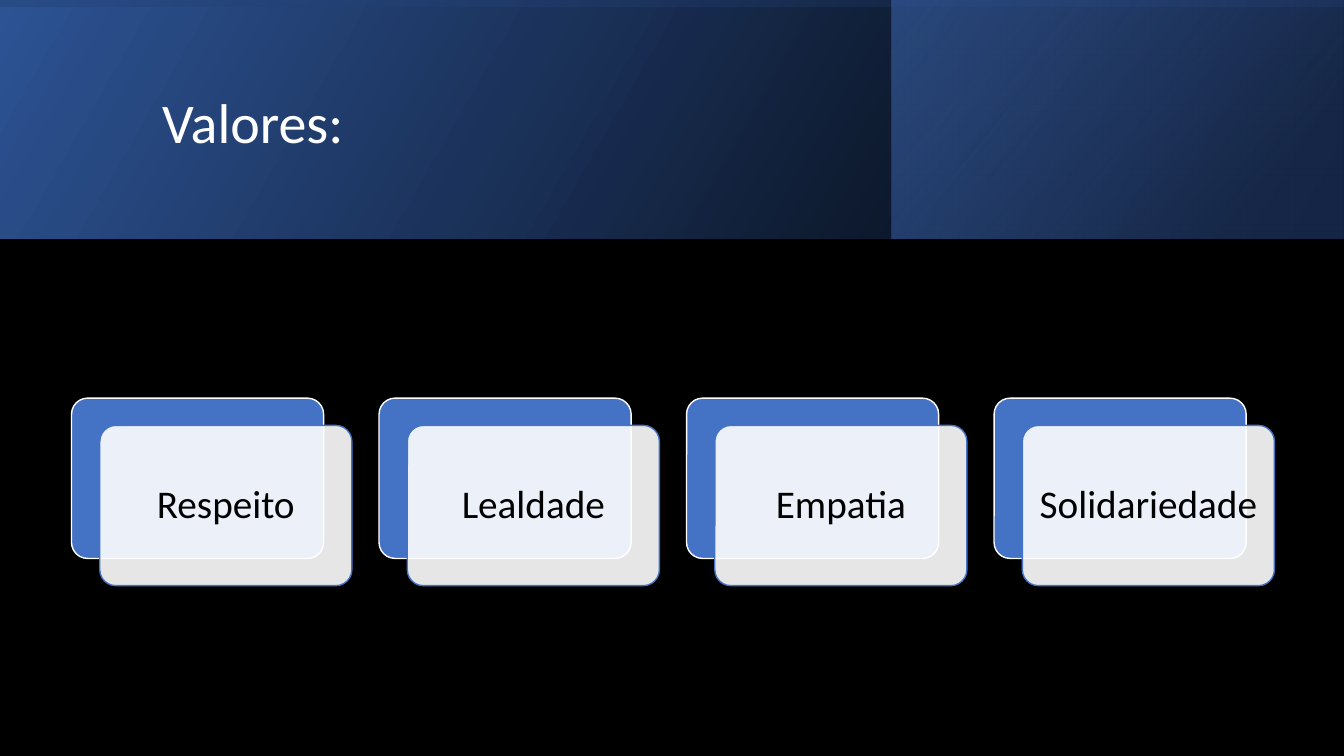
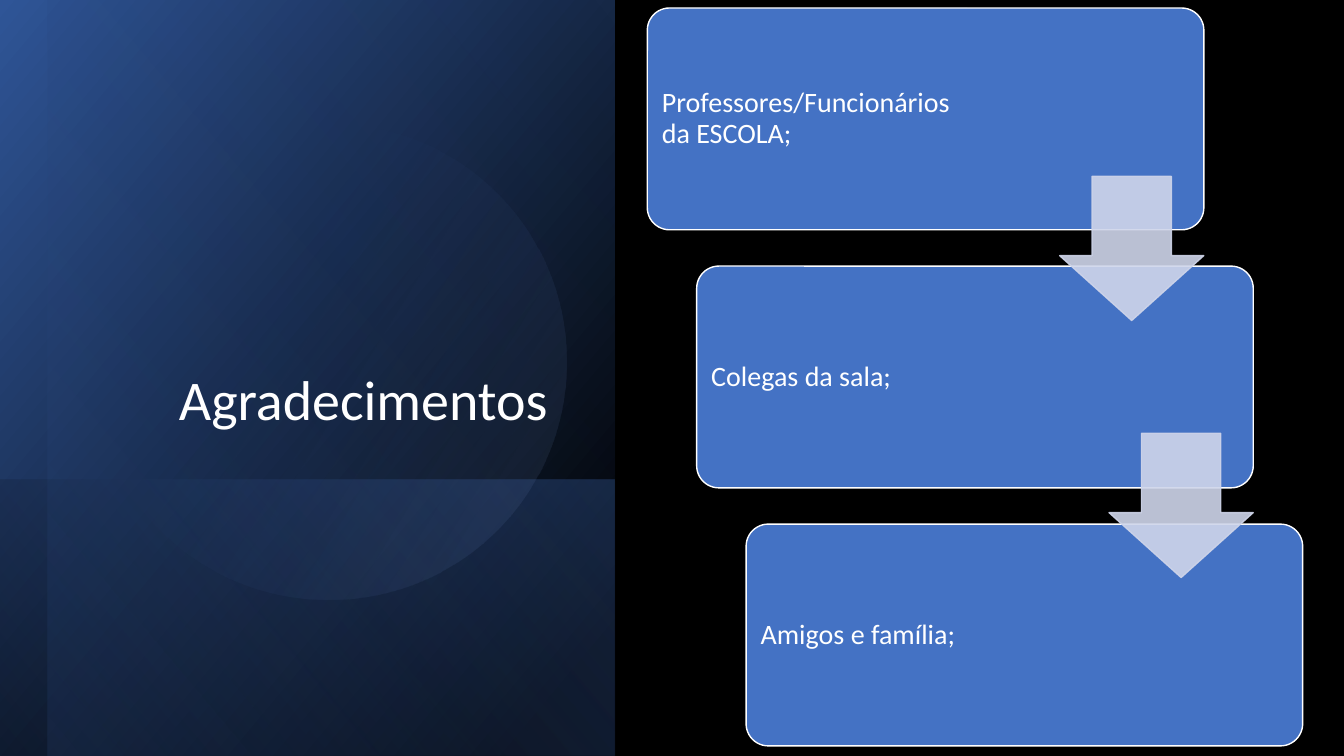
"""Build two dark slides: a row of values and a staircase of acknowledgements."""
from lxml.etree import SubElement
from pptx import Presentation
from pptx.dml.color import RGBColor
from pptx.enum.shapes import MSO_SHAPE
from pptx.enum.text import MSO_ANCHOR, PP_ALIGN
from pptx.oxml import parse_xml
from pptx.oxml.ns import nsdecls, qn
from pptx.util import Inches, Pt

BLACK = RGBColor(0x00, 0x00, 0x00)
WHITE = RGBColor(0xFF, 0xFF, 0xFF)
BLUE = RGBColor(0x44, 0x72, 0xC4)
DEEP_BLUE = RGBColor(0x2F, 0x55, 0x97)
NAVY = RGBColor(0x20, 0x38, 0x64)
SKY = RGBColor(0x8F, 0xAA, 0xDC)
PALE = RGBColor(0xCF, 0xD5, 0xEA)
FONT = "Calibri"


def add_panel(slide, preset, box, rotation, flipped, angle, stops):
    """Add a borderless shape whose stops are (position, colour, opacity) in percent."""
    shape = slide.shapes.add_shape(preset, *map(Inches, box))
    shape.shadow.inherit = False
    shape.line.fill.background()
    shape.rotation = rotation
    properties = shape._element.spPr
    if flipped:
        properties.find(qn("a:xfrm")).set("flipH", "1")
    stop_xml = "".join(
        f'<a:gs pos="{position * 1000}"><a:srgbClr val="{color}">'
        f'<a:alpha val="{opacity * 1000}"/></a:srgbClr></a:gs>'
        for position, color, opacity in stops
    )
    gradient = parse_xml(
        f'<a:gradFill {nsdecls("a")}><a:gsLst>{stop_xml}</a:gsLst>'
        f'<a:lin ang="{angle * 60000}" scaled="0"/></a:gradFill>'
    )
    properties.find(qn("a:prstGeom")).addnext(gradient)


def add_block(slide, preset, box, adjustments, fill, line, opacity=100, line_opacity=100):
    """Add a solid outlined shape and return it."""
    shape = slide.shapes.add_shape(preset, *map(Inches, box))
    shape.shadow.inherit = False
    for index, value in enumerate(adjustments):
        shape.adjustments[index] = value
    shape.fill.solid()
    shape.fill.fore_color.rgb = fill
    shape.line.color.rgb = line
    shape.line.width = Pt(1)
    properties = shape._element.spPr
    outline = properties.find(qn("a:ln"))
    for parent, percent in ((properties, opacity), (outline, line_opacity)):
        if percent < 100:
            color = parent.find(qn("a:solidFill")).find(qn("a:srgbClr"))
            SubElement(color, qn("a:alpha"), val=str(percent * 1000))
    return shape


RECTANGLE = MSO_SHAPE.RECTANGLE
VALUES_PANELS = [
    (RECTANGLE, (0, 0, 13.33, 2.37), 0, True, 330,
     [(0, BLACK, 96), (100, DEEP_BLUE, 100)]),
    (RECTANGLE, (8.84, 0, 4.48, 2.37), 0, True, 320,
     [(19, NAVY, 68), (100, BLUE, 48)]),
    (RECTANGLE, (5.48, -5.48, 2.37, 13.33), 270, True, 350,
     [(23, DEEP_BLUE, 16), (99, BLACK, 45)]),
]
THANKS_PANELS = [
    (RECTANGLE, (-0.7, 0.7, 7.5, 6.1), 90, True, 50,
     [(8, BLACK, 100), (100, DEEP_BLUE, 100)]),
    (RECTANGLE, (1.67, 3.08, 2.74, 6.1), 90, True, 130,
     [(2, BLUE, 29), (100, BLACK, 30)]),
    (RECTANGLE, (-0.46, 0.93, 7.5, 5.63), 90, True, 130,
     [(0, BLACK, 0), (99, BLUE, 11)]),
    (MSO_SHAPE.OVAL, (0.9, 1.23, 4.72, 4.72), 101.6, False, 290,
     [(39, BLUE, 0), (100, SKY, 15)]),
]
SLIDES = [
    (VALUES_PANELS, "Valores:", (1.51, 0.38, 10.63, 1.72), MSO_ANCHOR.MIDDLE, PP_ALIGN.LEFT),
    (THANKS_PANELS, "Agradecimentos", (0.9, 0.64, 4.63, 3.7), MSO_ANCHOR.BOTTOM, PP_ALIGN.RIGHT),
]

presentation = Presentation()
presentation.slide_width = Inches(13.33)
presentation.slide_height = Inches(7.5)

for panels, title, title_box, anchor, alignment in SLIDES:
    slide = presentation.slides.add_slide(presentation.slide_layouts[6])
    slide.background.fill.solid()
    slide.background.fill.fore_color.rgb = BLACK
    for panel in panels:
        add_panel(slide, *panel)
    frame = slide.shapes.add_textbox(*map(Inches, title_box)).text_frame
    frame.word_wrap = True
    frame.vertical_anchor = anchor
    paragraph = frame.paragraphs[0]
    paragraph.text = title
    paragraph.alignment = alignment
    paragraph.line_spacing = 0.9
    paragraph.font.name = FONT
    paragraph.font.size = Pt(40)
    paragraph.font.color.rgb = WHITE

values_slide, thanks_slide = presentation.slides
ROUNDED = MSO_SHAPE.ROUNDED_RECTANGLE
labels = []

for index, value in enumerate(["Respeito", "Lealdade", "Empatia", "Solidariedade"]):
    left = 0.71 + 3.05 * index
    add_block(values_slide, ROUNDED, (left, 3.95, 2.5, 1.59), [0.1], BLUE, WHITE)
    card = add_block(values_slide, ROUNDED, (left + 0.28, 4.22, 2.5, 1.59), [0.1], WHITE, BLUE, 90)
    labels.append((card, value, 28, BLACK, PP_ALIGN.CENTER, 0.12, 0.12))

STEPS = ["Professores/Funcionários da ESCOLA;", "Colegas da sala;", "Amigos e família;"]
for index, step in enumerate(STEPS):
    box = (6.42 + 0.49 * index, 0.08 + 2.56 * index, 5.52, 2.2)
    card = add_block(thanks_slide, ROUNDED, box, [0.1], BLUE, WHITE)
    labels.append((card, step, 20, WHITE, PP_ALIGN.LEFT, 0.08, 2.33))

for index in range(len(STEPS) - 1):
    box = (10.51 + 0.49 * index, 1.75 + 2.55 * index, 1.43, 1.43)
    add_block(thanks_slide, MSO_SHAPE.DOWN_ARROW, box, [0.55, 0.45], PALE, PALE, 90, 90)

for card, text, size, color, alignment, margin, right_margin in labels:
    frame = card.text_frame
    frame.word_wrap = True
    frame.vertical_anchor = MSO_ANCHOR.MIDDLE
    frame.margin_left = frame.margin_top = frame.margin_bottom = Inches(margin)
    frame.margin_right = Inches(right_margin)
    paragraph = frame.paragraphs[0]
    paragraph.text = text
    paragraph.alignment = alignment
    paragraph.line_spacing = 0.9
    paragraph.font.name = FONT
    paragraph.font.size = Pt(size)
    paragraph.font.color.rgb = color

presentation.save("out.pptx")
